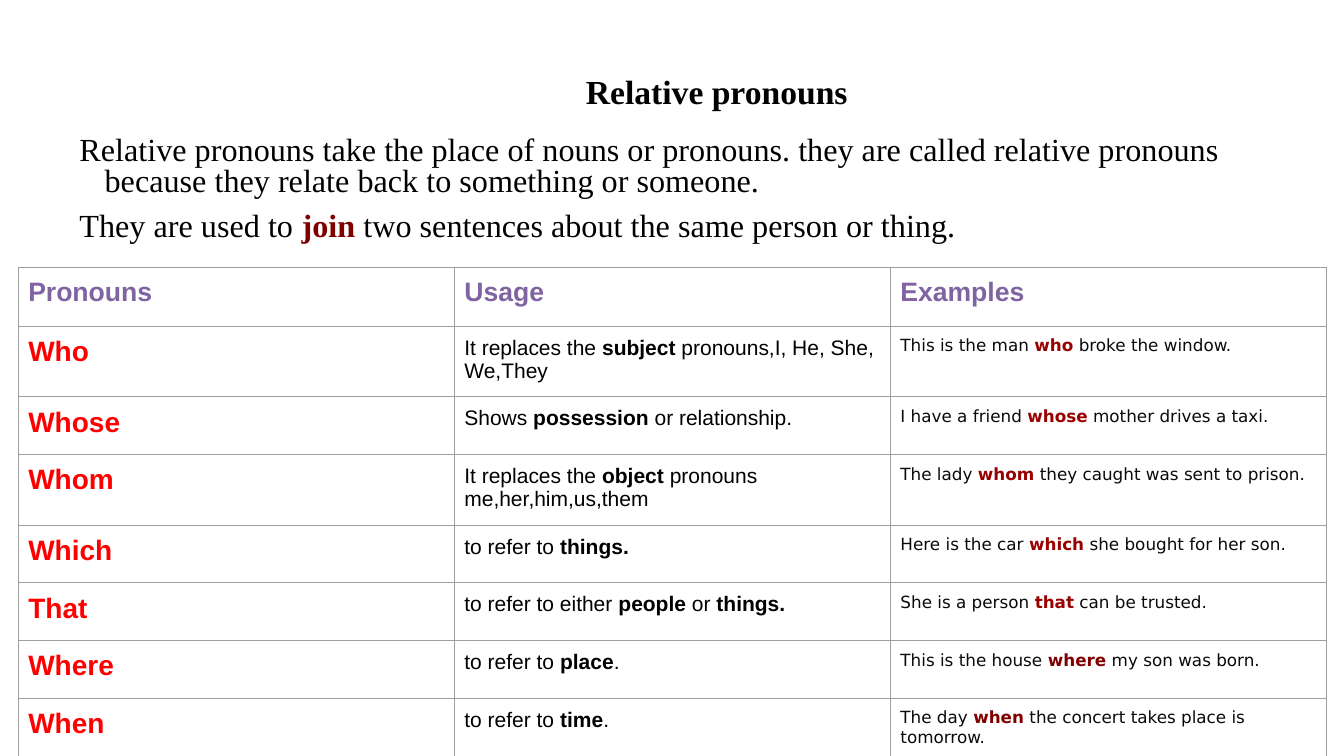
import pptx
import pptx.util
import pptx.dml.color
import pptx.enum.text
import pptx.oxml.ns
import lxml.etree
from dataclasses import dataclass

Pt = pptx.util.Pt
qn = pptx.oxml.ns.qn


@dataclass(frozen=True)
class Theme:
    serif: str = "Times New Roman"
    sans: str = "Arial"
    example: str = "DejaVu Sans"
    black: str = "000000"
    ink: str = "0A0A0A"
    maroon: str = "800000"
    crimson: str = "990000"
    red: str = "FF0000"
    purple: str = "8064A2"
    border: str = "9E9E9E"
    title: float = 24
    body: float = 23
    header: float = 19
    pronoun: float = 20
    usage: float = 15
    sample: float = 12


T = Theme()

# Asterisks enclose the emphasised words
INTRO = [
    "Relative pronouns take the place of nouns or pronouns. they are called "
    "relative pronouns because they relate back to something or someone.",
    "They are used to *join* two sentences about the same person or thing.",
]
HEADERS = ["Pronouns", "Usage", "Examples"]
ROWS = [
    ("Who", "It replaces the *subject* pronouns,I, He, She, We,They",
     "This is the man *who* broke the window.", T.crimson),
    ("Whose", "Shows *possession* or relationship.",
     "I have a friend *whose* mother drives a taxi.", T.crimson),
    ("Whom", "It replaces the *object *pronouns me,her,him,us,them",
     "The lady *whom* they caught was sent to prison.", T.crimson),
    ("Which", "to refer to *things.*",
     "Here is the car *which* she bought for her son.", T.crimson),
    ("That", "to refer to either *people* or *things.*",
     "She is a person *that* can be trusted.", T.crimson),
    ("Where", "to refer to *place*.",
     "This is the house *where* my son was born.", T.maroon),
    ("When", "to refer to* time*.",
     "The day *when* the concert takes place is tomorrow.", T.maroon),
]


def style(r, font, size, color, bold):
    r.font.name = font
    r.font.size = Pt(size)
    r.font.bold = bold
    r.font.color.rgb = pptx.dml.color.RGBColor.from_string(color)


def write(p, text, font, size, color, accent=None, bold=False):
    for i, part in enumerate(text.split("*")):
        if part:
            r = p.add_run()
            r.text = part
            strong = i % 2 == 1
            style(r, font, size, accent if strong and accent else color, bold or strong)


def add_title(s, left, top, width, height):
    sp = s.shapes.title
    sp.left, sp.top, sp.width, sp.height = Pt(left), Pt(top), Pt(width), Pt(height)
    tf = sp.text_frame
    tf.text = "Relative pronouns"
    tf.vertical_anchor = pptx.enum.text.MSO_ANCHOR.MIDDLE
    p = tf.paragraphs[0]
    p.alignment = pptx.enum.text.PP_ALIGN.CENTER
    p.line_spacing = 0.9
    style(p.runs[0], T.serif, T.title, T.black, True)


def add_intro(s, left, top, width, height):
    tf = s.shapes.add_textbox(Pt(left), Pt(top), Pt(width), Pt(height)).text_frame
    tf.word_wrap = True
    for i, text in enumerate(INTRO):
        p = tf.add_paragraph() if i else tf.paragraphs[0]
        p.line_spacing = 0.8
        p.space_before = Pt(10 if i else 0)
        # Hanging indent
        pPr = p._p.get_or_add_pPr()
        pPr.set("marL", str(Pt(18)))
        pPr.set("indent", str(-Pt(18)))
        write(p, text, T.serif, T.body, T.black, T.maroon)


def format_cell(cell):
    cell.margin_left = cell.margin_right = Pt(7.2)
    cell.margin_top = cell.margin_bottom = Pt(7.2)
    tcPr = cell._tc.get_or_add_tcPr()
    for side in ("a:lnL", "a:lnR", "a:lnT", "a:lnB"):
        ln = lxml.etree.SubElement(tcPr, qn(side), w=str(Pt(0.75)))
        fill = lxml.etree.SubElement(ln, qn("a:solidFill"))
        lxml.etree.SubElement(fill, qn("a:srgbClr"), val=T.border)
    cell.fill.background()


def add_pronoun_table(s, left, top, width, header_height, row_height):
    n_rows, n_cols = len(ROWS) + 1, len(HEADERS)
    height = header_height + row_height * len(ROWS)
    table = s.shapes.add_table(n_rows, n_cols, Pt(left), Pt(top), Pt(width), Pt(height)).table
    table.first_row = table.horz_banding = False
    for col in table.columns:
        col.width = Pt(width / n_cols)
    for i, row in enumerate(table.rows):
        row.height = Pt(row_height if i else header_height)
    for cell in table.iter_cells():
        format_cell(cell)

    # Header row
    for c, text in enumerate(HEADERS):
        write(table.cell(0, c).text_frame.paragraphs[0], text,
              T.sans, T.header, T.purple, bold=True)
    # One row for each pronoun
    for i, (pronoun, usage, sample, accent) in enumerate(ROWS, 1):
        name, use, example = (table.cell(i, c).text_frame.paragraphs[0] for c in range(n_cols))
        write(name, pronoun, T.sans, T.pronoun, T.red, bold=True)
        write(use, usage, T.sans, T.usage, T.black)
        write(example, sample, T.example, T.sample, T.ink, accent)


def main():
    prs = pptx.Presentation()
    prs.slide_width, prs.slide_height = Pt(960), Pt(540)
    s = prs.slides.add_slide(prs.slide_layouts[5])
    add_title(s, 98, 28, 828, 78)
    add_intro(s, 49.7, 94.3, 885.6, 98.6)
    add_pronoun_table(s, 13, 190.8, 934.5, 42.2, 41.2)
    prs.save("out.pptx")


if __name__ == "__main__":
    main()
